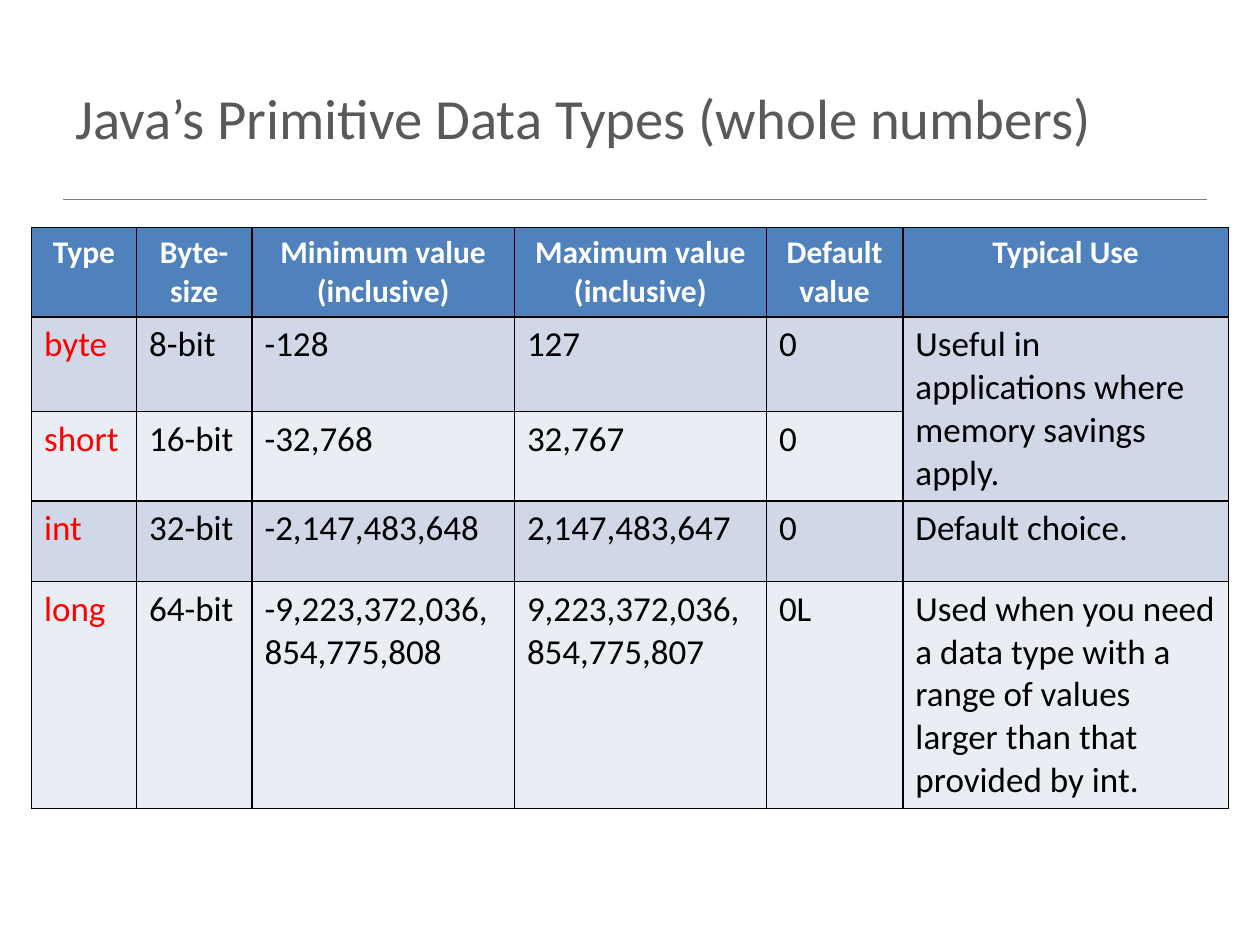
import dataclasses

import pptx
import pptx.dml.color
import pptx.enum.shapes
import pptx.enum.text
import pptx.oxml
import pptx.oxml.ns
import pptx.util

Pt = pptx.util.Pt
Align = pptx.enum.text.PP_ALIGN
Anchor = pptx.enum.text.MSO_ANCHOR


@dataclasses.dataclass(frozen=True)
class Theme:
    font: str = "Calibri"
    title_size: float = 32.4
    header_size: float = 18
    body_size: float = 20
    title: str = "595959"
    rule: str = "808080"
    border: str = "000000"
    header_text: str = "FFFFFF"
    header_fill: str = "4F81BD"
    type_name: str = "FF0000"
    body_text: str = "000000"
    bands: tuple = ("D0D8E8", "E9EDF4")


THEME = Theme()
COLUMN_WIDTHS = (60, 66, 150, 144, 78, 186)
ROW_HEIGHTS = (48, 54, 51, 46, 128)
ROWS = (
    ("Type", "Byte-size", "Minimum value (inclusive)",
     "Maximum value (inclusive)", "Default value", "Typical Use"),
    ("byte", "8-bit", "-128", "127", "0",
     "Useful in applications where memory savings apply."),
    ("short", "16-bit", "-32,768", "32,767", "0", ""),
    ("int", "32-bit", "-2,147,483,648", "2,147,483,647", "0",
     "Default choice."),
    ("long", "64-bit", "-9,223,372,036,854,775,808",
     "9,223,372,036,854,775,807", "0L",
     "Used when you need a data type with a range of values "
     "larger than that provided by int."),
)


def rgb(value):
    return pptx.dml.color.RGBColor.from_string(value)


def write_text(frame, text, color, size, bold=False, align=Align.LEFT):
    para = frame.paragraphs[0]
    para.alignment = align
    span = para.add_run()
    span.text = text
    formats = {"name": THEME.font, "size": Pt(size), "bold": bold}
    for name, value in formats.items():
        setattr(span.font, name, value)
    span.font.color.rgb = rgb(color)


def add_title(page, text):
    box = page.shapes.title
    placement = {"left": 36, "top": 21.6, "width": 648, "height": 90}
    for name, value in placement.items():
        setattr(box, name, Pt(value))
    box.text_frame.vertical_anchor = Anchor.MIDDLE
    write_text(box.text_frame, text, THEME.title, THEME.title_size)


def add_rule(page, left, right, top):
    line = page.shapes.add_connector(
        pptx.enum.shapes.MSO_CONNECTOR.STRAIGHT,
        Pt(left), Pt(top), Pt(right), Pt(top))
    line.line.color.rgb = rgb(THEME.rule)
    line.line.width = Pt(1)
    properties = line._element.spPr
    properties.append(pptx.oxml.parse_xml(
        f'<a:effectLst {pptx.oxml.ns.nsdecls("a")}/>'))


def add_borders(cell):
    properties = cell._tc.get_or_add_tcPr()
    for side in ("lnL", "lnR", "lnT", "lnB"):
        properties.append(pptx.oxml.parse_xml(
            f'<a:{side} {pptx.oxml.ns.nsdecls("a")} w="{Pt(1)}">'
            f'<a:solidFill><a:srgbClr val="{THEME.border}"/></a:solidFill>'
            f'</a:{side}>'))


def format_cell(cell, text, row, column):
    add_borders(cell)
    header = row == 0
    fill = THEME.header_fill if header else THEME.bands[(row - 1) % 2]
    cell.fill.solid()
    cell.fill.fore_color.rgb = rgb(fill)
    if not text:
        return
    if header:
        write_text(cell.text_frame, text, THEME.header_text,
                   THEME.header_size, True, Align.CENTER)
    else:
        color = THEME.type_name if column == 0 else THEME.body_text
        write_text(cell.text_frame, text, color, THEME.body_size)


def add_type_table(page, left, top):
    table = page.shapes.add_table(
        len(ROWS), len(COLUMN_WIDTHS), Pt(left), Pt(top),
        Pt(sum(COLUMN_WIDTHS)), Pt(sum(ROW_HEIGHTS))).table
    for column, width in zip(table.columns, COLUMN_WIDTHS):
        column.width = Pt(width)
    for row, height in zip(table.rows, ROW_HEIGHTS):
        row.height = Pt(height)
    for row, texts in enumerate(ROWS):
        for column, text in enumerate(texts):
            format_cell(table.cell(row, column), text, row, column)
    table.cell(1, 5).merge(table.cell(2, 5))


def main():
    deck = pptx.Presentation()
    deck.slide_width, deck.slide_height = Pt(720), Pt(540)
    page = deck.slides.add_slide(deck.slide_layouts.get_by_name("Title Only"))
    add_rule(page, 36, 690, 114)
    add_title(page, "Java’s Primitive Data Types (whole numbers)")
    add_type_table(page, 18, 130)
    deck.save("out.pptx")


if __name__ == "__main__":
    main()
